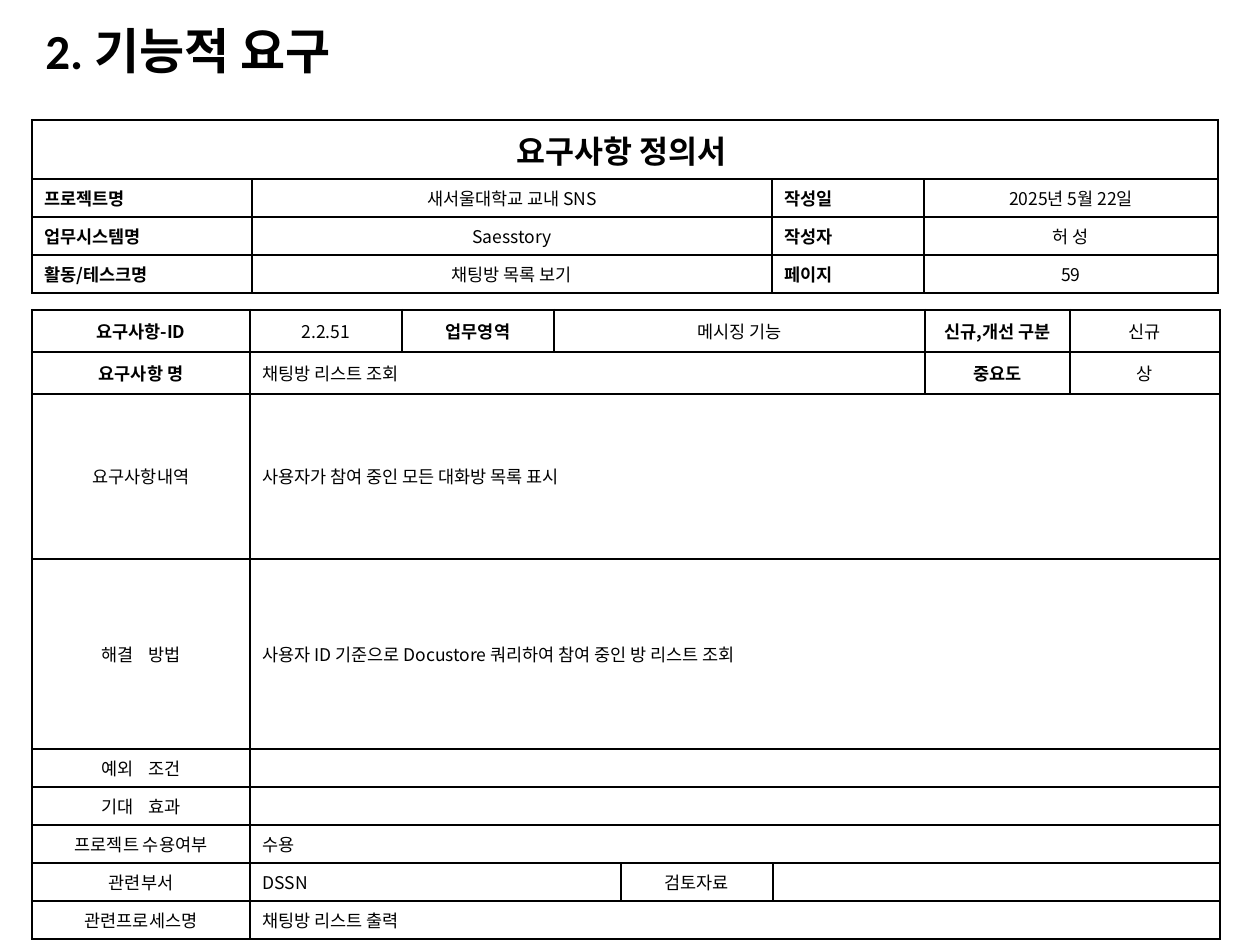
import pptx
import pptx.util
import pptx.dml.color
import pptx.enum.text
import pptx.oxml
import pptx.oxml.ns

SCALE = 914400 // 126
BLACK = pptx.dml.color.RGBColor(0, 0, 0)
SANS = "Noto Sans CJK KR"
PLAIN = "{2D5ABB26-0587-4C30-8999-92F81FD0307C}"
THIN, THICK = 1, 1.5
ALIGN = pptx.enum.text.PP_ALIGN
MIDDLE = pptx.enum.text.MSO_ANCHOR.MIDDLE

# Cell looks: alignment, bold
HEAD = (ALIGN.CENTER, True)
LABEL = (ALIGN.JUSTIFY, True)
MID = (ALIGN.CENTER, False)
LEFT = (ALIGN.LEFT, False)

# Each cell: text, columns spanned, look
INFO = [
    [("요구사항 정의서 ", 4, HEAD)],
    [("프로젝트명", 1, LABEL), ("새서울대학교 교내 SNS", 1, MID),
     ("작성일", 1, LABEL), ("2025년 5월 22일", 1, MID)],
    [("업무시스템명 ", 1, LABEL), ("Saesstory", 1, MID),
     ("작성자", 1, LABEL), ("허 성", 1, MID)],
    [("활동/테스크명", 1, LABEL), ("채팅방 목록 보기", 1, MID),
     ("페이지", 1, LABEL), ("59", 1, MID)],
]
DETAIL = [
    [("요구사항-ID", 1, HEAD), ("2.2.51", 1, MID), ("업무영역", 1, HEAD),
     ("메시징 기능", 3, MID), ("신규,개선 구분", 1, HEAD), ("신규", 1, MID)],
    [("요구사항 명", 1, HEAD), ("채팅방 리스트 조회", 5, LEFT),
     ("중요도", 1, HEAD), ("상", 1, MID)],
    [("요구사항내역", 1, MID), ("사용자가 참여 중인 모든 대화방 목록 표시", 7, LEFT)],
    [("해결    방법", 1, MID),
     ("사용자 ID 기준으로 Docustore 쿼리하여 참여 중인 방 리스트 조회", 7, LEFT)],
    [("예외    조건", 1, MID), ("", 7, LEFT)],
    [("기대    효과", 1, MID), ("", 7, LEFT)],
    [("프로젝트 수용여부", 1, MID), ("수용", 7, LEFT)],
    [("관련부서", 1, MID), ("DSSN", 3, LEFT), ("검토자료", 1, MID), ("", 3, LEFT)],
    [("관련프로세스명", 1, MID), ("채팅방 리스트 출력", 7, LEFT)],
]


def px(*nums):
    return [pptx.util.Emu(num * SCALE) for num in nums]


class Page:
    def __init__(self, slide):
        self.slide = slide

    def label(self, frame, text, size, look, font=SANS):
        frame.text = text
        para = frame.paragraphs[0]
        para.alignment, bold = look
        for face in [para.font] + [run.font for run in para.runs]:
            face.name, face.size, face.bold = font, pptx.util.Pt(size), bold
            face.color.rgb = BLACK
        for run in para.runs:
            asian = pptx.oxml.parse_xml(
                f'<a:ea {pptx.oxml.ns.nsdecls("a")} typeface="{SANS}"/>')
            props = run._r.get_or_add_rPr()
            props.find(pptx.oxml.ns.qn("a:latin")).addnext(asian)

    def title(self, text, x, y, wide, high):
        frame = self.slide.shapes.add_textbox(*px(x, y, wide, high)).text_frame
        frame.word_wrap = True
        frame.vertical_anchor = MIDDLE
        self.label(frame, text, 28, (ALIGN.LEFT, True), "Calibri")
        frame.paragraphs[0].line_spacing = 0.9

    def edge(self, cell, sides):
        """Draw cell borders; sides maps L, R, T, B to a width in points."""
        props = cell._tc.get_or_add_tcPr()
        for side in "LRTB":
            if side in sides:
                props.append(pptx.oxml.parse_xml(
                    f'<a:ln{side} {pptx.oxml.ns.nsdecls("a")} '
                    f'w="{int(sides[side] * 12700)}"><a:solidFill>'
                    f'<a:srgbClr val="{BLACK}"/></a:solidFill></a:ln{side}>'))
        cell.fill.background()

    def table(self, x, y, cols, rows, data, heavy, sizes):
        """Heavy holds row lines drawn thick; sizes maps a row to a text size."""
        shape = self.slide.shapes.add_table(
            len(rows), len(cols), *px(x, y, sum(cols), sum(rows)))
        grid = shape.table
        grid._tbl.tblPr.find(pptx.oxml.ns.qn("a:tableStyleId")).text = PLAIN
        grid.first_row = grid.horz_banding = False
        for col, wide in zip(grid.columns, px(*cols)):
            col.width = wide
        for row, high in zip(grid.rows, px(*rows)):
            row.height = high
        for r, line in enumerate(data):
            top, low = (THICK if n in heavy else THIN for n in (r, r + 1))
            c = 0
            for text, span, look in line:
                last = c + span - 1
                cell = grid.cell(r, c)
                if span > 1:
                    cell.merge(grid.cell(r, last))
                cell.vertical_anchor = MIDDLE
                self.label(cell.text_frame, text, sizes.get(r, 10), look)
                left = THICK if c == 0 else THIN
                right = THICK if last == len(cols) - 1 and span == 1 else THIN
                self.edge(cell, {"L": left, "R": right, "T": top, "B": low})
                for n in range(c + 1, last + 1):
                    sides = {"T": top, "B": low}
                    if n == last:
                        sides["R"] = right
                    self.edge(grid.cell(r, n), sides)
                c = last + 1


def main():
    deck = pptx.Presentation()
    deck.slide_width, deck.slide_height = px(1260, 945)
    page = Page(deck.slides.add_slide(deck.slide_layouts[6]))
    page.title("2. 기능적 요구", 33, 26, 675, 55)
    page.table(32, 310, [218, 152, 152, 67, 152, 152, 145, 150],
               [42, 42, 165, 190] + [38] * 5, DETAIL, {0, 1, 2, 9}, {})
    page.table(32, 120, [220, 520, 152, 294],
               [59] + [38] * 3, INFO, {0, 4}, {0: 18})
    deck.save("out.pptx")


if __name__ == "__main__":
    main()
